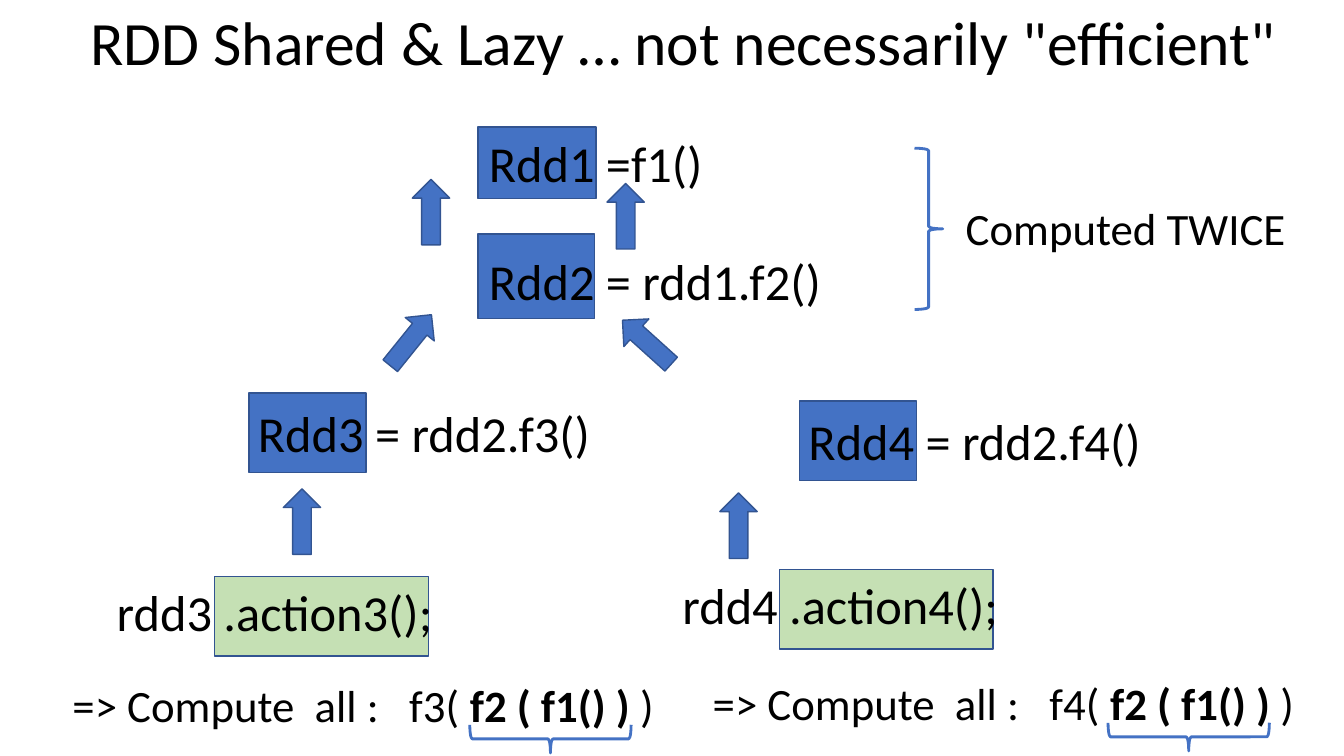
from pptx import Presentation
from pptx.dml.color import RGBColor
from pptx.enum.shapes import MSO_SHAPE as SHAPE
from pptx.enum.text import MSO_ANCHOR as ANCHOR, MSO_AUTO_SIZE as FIT, PP_ALIGN as ALIGN
from pptx.util import Emu, Pt

# Content; lengths in px, 100 px to the inch
PX = 9144
BLUE, GREEN, EDGE, BLACK = "4472C4", "C5E0B4", "325491", "000000"

TITLE = ('RDD Shared & Lazy … not necessarily "efficient"', (27, 0, 1302, 91))

RDD_BOXES = [(474, 126, 117, 71), (474, 232, 116, 84), (247, 390, 116, 79), (793, 398, 116, 79)]
ACTION_BOXES = [(213, 572, 212, 79), (773, 565, 212, 79)]

# Each label: left, top, width, then (text, bold) runs
CODE_LABELS = [
    (475, 126, 234, [("Rdd1 =f1()", False)]),
    (475, 243, 353, [("Rdd2 = rdd1.f2()", False)]),
    (246, 394, 353, [("Rdd3 = rdd2.f3()", False)]),
    (792, 402, 353, [("Rdd4 = rdd2.f4()", False)]),
    (106, 572, 336, [("rdd3 .action3();", False)]),
    (667, 565, 336, [("rdd4 .action4();", False)]),
]
NOTE_LABELS = [
    (62, 667, 601, [("=> Compute  all :   f3( ", False), ("f2 ( f1() ) ", True), (")", False)]),
    (697, 665, 601, [("=> Compute  all :   f4( ", False), ("f2 ( f1() )", True), (" )", False)]),
    (948, 194, 341, [("Computed TWICE", False)]),
]

# Left, top, rotation
ARROWS = [(714, 489, 180), (281, 485, 180), (389, 305, 218.9),
          (623, 307, 132.1), (409, 178, 180), (602, 182, 180)]
BRACES = [(532, 653, 270), (1165, 651, 270), (907, 147, 180)]
ARROW_SIZE, BRACE_SIZE = (37, 65), (28, 160)


def color(hex_value):
    return RGBColor.from_string(hex_value)


def emu(box):
    return [Emu(v * PX) for v in box]


def add_runs(p, runs, size):
    for text, bold in runs:
        r = p.add_run()
        r.text = text
        for name, value in {"name": "Calibri", "size": Pt(size), "bold": bold}.items():
            setattr(r.font, name, value)
        r.font.color.rgb = color(BLACK)


def add_shape(kind, box, fill=None, line=EDGE, width=1, rotation=0):
    sp = s.shapes.add_shape(kind, *emu(box))
    sp.shadow.inherit = False
    sp.rotation = rotation
    if fill:
        sp.fill.solid()
        sp.fill.fore_color.rgb = color(fill)
    else:
        sp.fill.background()
    sp.line.color.rgb = color(line)
    sp.line.width = Pt(width)


def add_label(left, top, width, height, runs, size):
    tf = s.shapes.add_textbox(*emu((left, top, width, height))).text_frame
    tf.word_wrap = False
    tf.auto_size = FIT.SHAPE_TO_FIT_TEXT
    add_runs(tf.paragraphs[0], runs, size)


prs = Presentation()
prs.slide_width, prs.slide_height = emu((1333, 750))
s = prs.slides.add_slide(prs.slide_layouts[5])

# Title
text, box = TITLE
title = s.shapes.title
title.left, title.top, title.width, title.height = emu(box)
tf = title.text_frame
for name, value in {"vertical_anchor": ANCHOR.MIDDLE, "auto_size": FIT.NONE,
                    "word_wrap": True}.items():
    setattr(tf, name, value)
p = tf.paragraphs[0]
p.alignment, p.line_spacing = ALIGN.CENTER, 0.9
add_runs(p, [(text, False)], 44)

# Boxes behind the code
for boxes, fill in ((RDD_BOXES, BLUE), (ACTION_BOXES, GREEN)):
    for box in boxes:
        add_shape(SHAPE.RECTANGLE, box, fill)

# Code and notes
for labels, height, size in ((CODE_LABELS, 71, 36), (NOTE_LABELS, 64, 32)):
    for left, top, width, runs in labels:
        add_label(left, top, width, height, runs, size)

# Arrows to the parent RDD, and braces
for left, top, rotation in ARROWS:
    add_shape(SHAPE.DOWN_ARROW, (left, top, *ARROW_SIZE), BLUE, rotation=rotation)
for left, top, rotation in BRACES:
    add_shape(SHAPE.LEFT_BRACE, (left, top, *BRACE_SIZE), line=BLUE, width=2, rotation=rotation)

prs.save("out.pptx")
